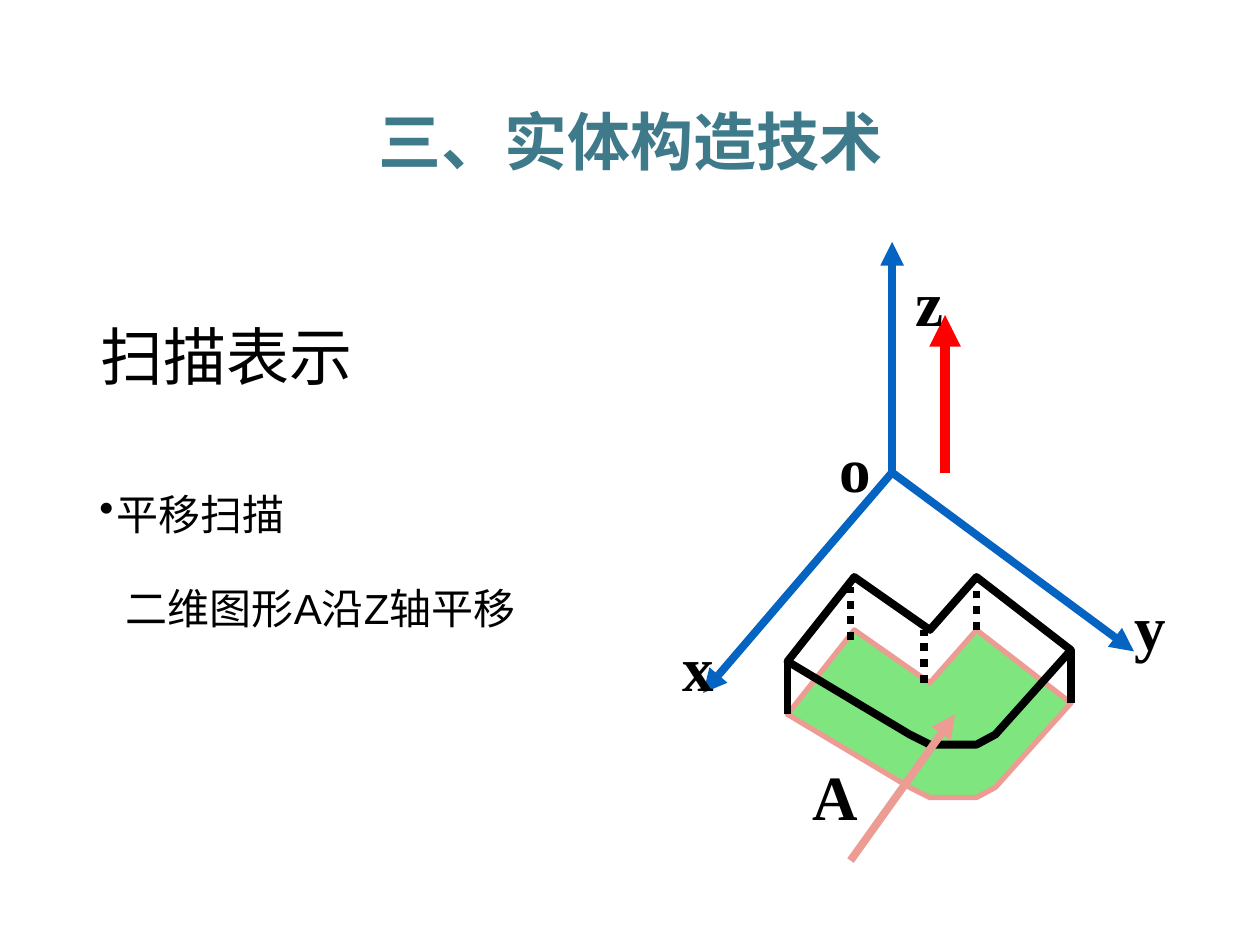
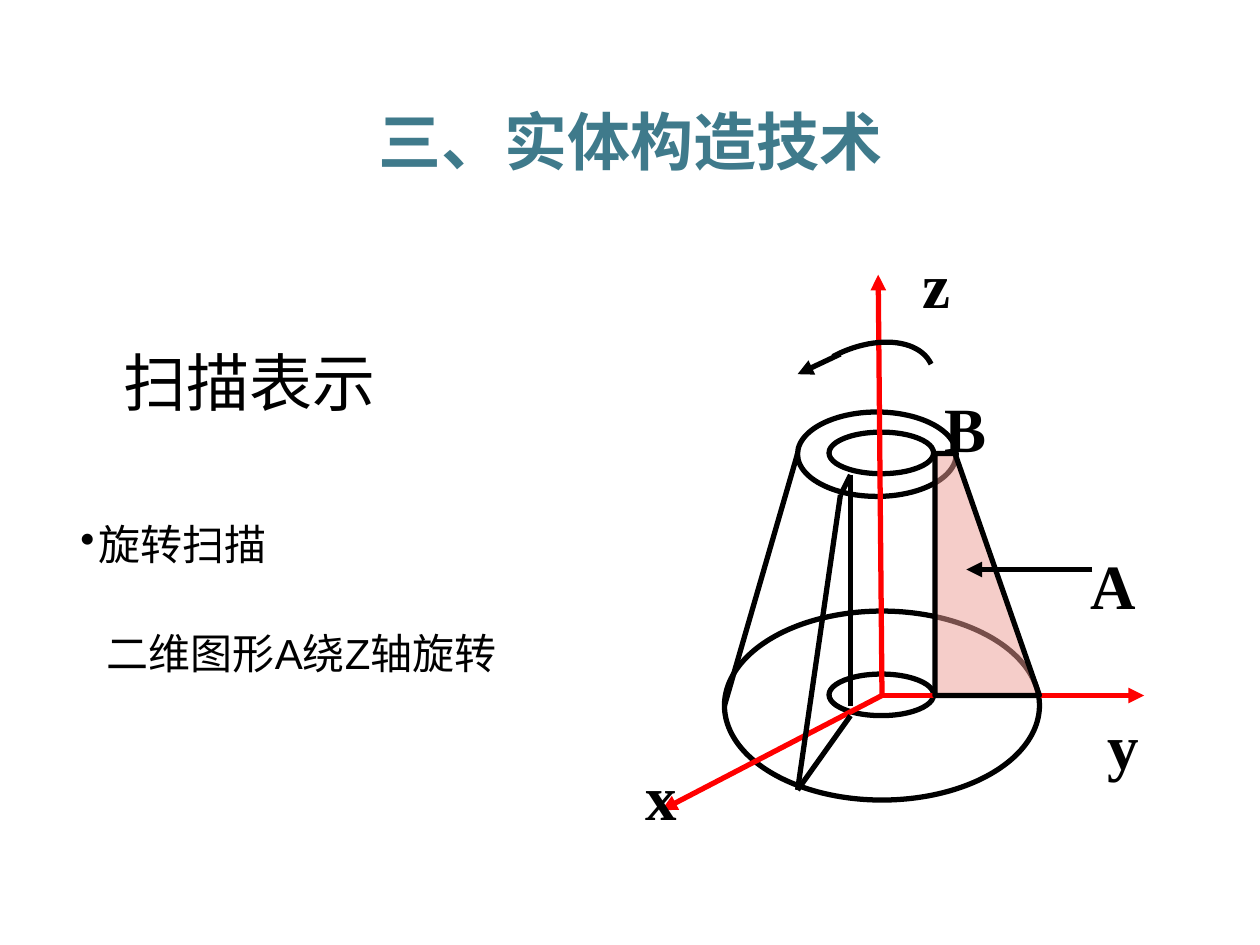
from dataclasses import dataclass
from typing import Optional

from lxml.etree import SubElement
from pptx import Presentation
from pptx.dml.color import RGBColor
from pptx.enum.dml import MSO_LINE
from pptx.enum.shapes import MSO_CONNECTOR, MSO_SHAPE
from pptx.enum.text import MSO_ANCHOR, MSO_AUTO_SIZE, PP_ALIGN
from pptx.oxml.ns import qn
from pptx.util import Inches, Pt

# Shared style
BLACK = RGBColor(0x00, 0x00, 0x00)
RED = RGBColor(0xFF, 0x00, 0x00)
BLUE = RGBColor(0x05, 0x63, 0xC1)
GREEN = RGBColor(0x00, 0xCC, 0x00)
PINK = RGBColor(0xED, 0x9C, 0x94)
TEAL = RGBColor(0x3F, 0x7A, 0x8B)
CJK_FONT = "Noto Sans CJK SC"
BODY_FONT = "Arial"
LABEL_FONT = "Times New Roman"
HEADING = "三、实体构造技术"
TOPIC = "扫描表示"

Point = tuple[float, float]
Area = tuple[float, float, float, float]


@dataclass
class Stroke:
    start: Point
    end: Point
    color: RGBColor = BLACK
    width: float = 3
    arrow: bool = False
    dotted: bool = False


@dataclass
class Label:
    text: str
    left: float
    top: float
    width: float


@dataclass
class Notes:
    """The bullet and its explanation under the topic."""
    area: Area
    bullet: str
    detail: str
    spacing: float


# Text helpers
def add_span(para, text: str, font: str, size: float, color: RGBColor, bold: bool = False) -> None:
    span = para.add_run()
    span.text = text
    span.font.name = font
    span.font.size = Pt(size)
    span.font.bold = bold
    span.font.color.rgb = color
    if font != LABEL_FONT:
        SubElement(span.font._element, qn("a:ea")).set("typeface", CJK_FONT)


def add_box(shapes, area: Area):
    box = shapes.add_textbox(*map(Inches, area))
    box.text_frame.word_wrap = True
    return box.text_frame


def add_label(diagram, label: Label) -> None:
    frame = add_box(diagram.shapes, (label.left, label.top, label.width, 0.7))
    frame.margin_top = Inches(0.09)
    para = frame.paragraphs[0]
    para.alignment = PP_ALIGN.CENTER
    add_span(para, label.text, LABEL_FONT, 36, BLACK, bold=True)


def add_notes(page, notes: Notes) -> None:
    frame = add_box(page.shapes, notes.area)
    bullet, detail = frame.paragraphs[0], frame.add_paragraph()
    detail.space_before = Pt(19)
    for para, text, margin, indent in ((bullet, notes.bullet, 0.14, -0.14),
                                       (detail, notes.detail, 0.21, 0)):
        para.line_spacing = notes.spacing
        props = para._p.get_or_add_pPr()
        props.set("marL", str(Inches(margin)))
        props.set("indent", str(Inches(indent)))
        if para is bullet:
            SubElement(props, qn("a:buChar")).set("char", "•")
        add_span(para, text, BODY_FONT, 24, BLACK)


def add_page(deck, topic_area: Area, notes: Notes):
    """Add a page with its heading, topic and notes; return its diagram group."""
    page = deck.slides.add_slide(deck.slide_layouts[5])
    topic = page.shapes.title
    topic.left, topic.top, topic.width, topic.height = map(Inches, topic_area)
    frame = topic.text_frame
    frame.auto_size = MSO_AUTO_SIZE.NONE
    frame.vertical_anchor = MSO_ANCHOR.BOTTOM
    para = frame.paragraphs[0]
    para.alignment = PP_ALIGN.LEFT
    para.line_spacing = 1.2
    add_span(para, TOPIC, CJK_FONT, 36, BLACK)

    add_notes(page, notes)

    frame = add_box(page.shapes, (1.68, 0.76, 6.65, 0.71))
    frame.vertical_anchor = MSO_ANCHOR.MIDDLE
    para = frame.paragraphs[0]
    para.alignment = PP_ALIGN.CENTER
    add_span(para, HEADING, CJK_FONT, 36, TEAL, bold=True)
    return page.shapes.add_group_shape()


# Drawing helpers
def add_stroke(diagram, stroke: Stroke) -> None:
    line = diagram.shapes.add_connector(
        MSO_CONNECTOR.STRAIGHT, *map(Inches, stroke.start + stroke.end))
    line.line.color.rgb = stroke.color
    line.line.width = Pt(stroke.width)
    if stroke.dotted:
        line.line.dash_style = MSO_LINE.ROUND_DOT
    if stroke.arrow:
        SubElement(line.line._get_or_add_ln(), qn("a:tailEnd")).set("type", "triangle")
    SubElement(line._element.spPr, qn("a:effectLst"))


def style_outline(shape, color: RGBColor, width: float, fill: Optional[RGBColor] = None) -> None:
    """Outline a shape; a fill is half transparent."""
    if fill is None:
        shape.fill.background()
    else:
        shape.fill.solid()
        shape.fill.fore_color.rgb = fill
        tint = shape._element.spPr.find(qn("a:solidFill")).find(qn("a:srgbClr"))
        SubElement(tint, qn("a:alpha")).set("val", "50000")
    shape.line.color.rgb = color
    shape.line.width = Pt(width)
    shape.shadow.inherit = False


def add_outline(diagram, points: list[Point], color: RGBColor, width: float,
                fill: Optional[RGBColor] = None, close: bool = True) -> None:
    corners = [(Inches(x), Inches(y)) for x, y in points]
    builder = diagram.shapes.build_freeform(*corners[0])
    builder.add_line_segments(corners[1:], close=close)
    style_outline(builder.convert_to_shape(), color, width, fill)


def add_ellipse(diagram, area: Area) -> None:
    ellipse = diagram.shapes.add_shape(MSO_SHAPE.OVAL, *map(Inches, area))
    style_outline(ellipse, BLACK, 3)


def bezier(a: Point, b: Point, c: Point, d: Point, steps: int = 24) -> list[Point]:
    """Points along a cubic curve from a to d."""
    points = []
    for step in range(steps + 1):
        t = step / steps
        weights = ((1 - t) ** 3, 3 * t * (1 - t) ** 2, 3 * t * t * (1 - t), t ** 3)
        points.append(tuple(sum(w * p[axis] for w, p in zip(weights, (a, b, c, d)))
                            for axis in (0, 1)))
    return points


# Page 1: translation sweep
def build_translation(deck) -> None:
    diagram = add_page(deck, (0.7, 2.67, 8.03, 0.5), Notes(
        (0.69, 3.75, 5.04, 1.48), "平移扫描", "二维图形A沿Z轴平移", 1.2))
    lift = 0.42
    base = [(6.25, 5.67), (7.22, 6.25), (7.38, 6.33), (7.75, 6.33), (7.9, 6.25),
            (8.5, 5.58), (7.75, 5), (7.38, 5.42), (6.78, 5)]
    add_outline(diagram, base, PINK, 3, fill=GREEN)
    add_outline(diagram, [(x, y - lift) for x, y in base], BLACK, 4.5)

    # Vertical edges, the hidden ones dotted
    for x, y, hidden in ((6.25, 5.67, False), (8.5, 5.58, False),
                         (6.75, 5.08, True), (7.33, 5.42, True), (7.75, 5, True)):
        add_stroke(diagram, Stroke((x, y), (x, y - lift), width=4.5, dotted=hidden))

    # Axes, sweep direction and pointer
    origin = (7.08, 3.75)
    for tip in ((5.58, 5.5), (9, 5.17), (7.08, 1.92)):
        add_stroke(diagram, Stroke(origin, tip, BLUE, 4.5, arrow=True))
    add_stroke(diagram, Stroke((6.75, 6.83), (7.58, 5.67), PINK, 4.5, arrow=True))
    add_stroke(diagram, Stroke((7.5, 3.75), (7.5, 2.5), RED, 6, arrow=True))

    for text, left, top in (("z", 6.92, 2), ("o", 6.33, 3.32), ("y", 8.67, 4.57),
                            ("x", 5.08, 4.9), ("A", 6.17, 5.92)):
        add_label(diagram, Label(text, left, top, 0.92))


# Page 2: rotation sweep
def build_rotation(deck) -> None:
    diagram = add_page(deck, (0.88, 2.66, 8.03, 0.72), Notes(
        (0.54, 3.87, 5.05, 1.73), "旋转扫描", "二维图形A绕Z轴旋转", 1.5))
    # Rims of the hole and of the cone
    for area in ((6.58, 3.43, 0.83, 0.33), (6.33, 3.27, 1.26, 0.67),
                 (5.75, 4.85, 2.5, 1.5), (6.58, 5.35, 0.83, 0.33)):
        add_ellipse(diagram, area)

    origin = (7, 5.52)
    for tip in ((6.97, 2.18), (9.08, 5.52), (5.25, 6.43)):
        add_stroke(diagram, Stroke(origin, tip, RED, arrow=True))

    # Left side, then the section turned towards x
    inner_top, outer_top, outer_foot = (6.75, 3.77), (6.67, 3.93), (6.33, 6.27)
    for start, end in (((6.33, 3.6), (5.75, 5.6)), (inner_top, outer_top),
                       (outer_top, outer_foot), (inner_top, (6.75, 5.6)),
                       ((6.75, 5.68), outer_foot)):
        add_stroke(diagram, Stroke(start, end))

    # Section A, turning arrow and pointer
    section = [(7.42, 3.6), (7.58, 3.6), (8.25, 5.52), (7.42, 5.52)]
    add_outline(diagram, section, BLACK, 3, fill=PINK)
    turn = bezier((6.61, 2.83), (6.93, 2.66), (7.29, 2.68), (7.39, 2.89))
    add_outline(diagram, turn, BLACK, 3, close=False)
    add_stroke(diagram, Stroke((6.67, 2.81), (6.33, 2.97), arrow=True))
    add_stroke(diagram, Stroke((8.67, 4.52), (7.67, 4.52), arrow=True))

    add_label(diagram, Label("z", 7.2, 1.86, 0.47))
    for text, left, top in (("B", 7.25, 3), ("y", 8.5, 5.52),
                            ("x", 4.83, 5.92), ("A", 8.42, 4.25)):
        add_label(diagram, Label(text, left, top, 0.83))


def main() -> None:
    deck = Presentation()
    deck.slide_width, deck.slide_height = Inches(10), Inches(7.5)
    build_translation(deck)
    build_rotation(deck)
    deck.save("out.pptx")


if __name__ == "__main__":
    main()
